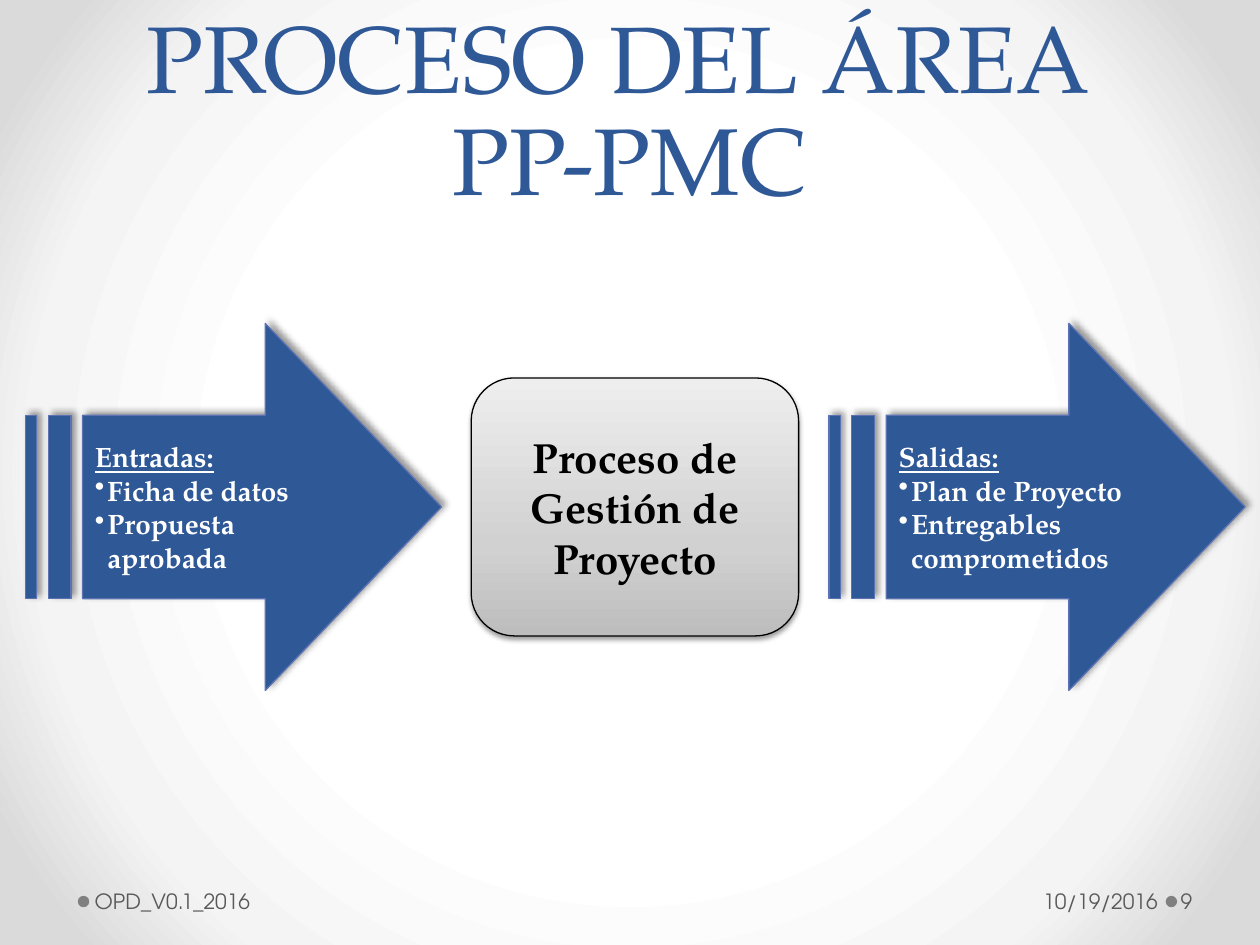
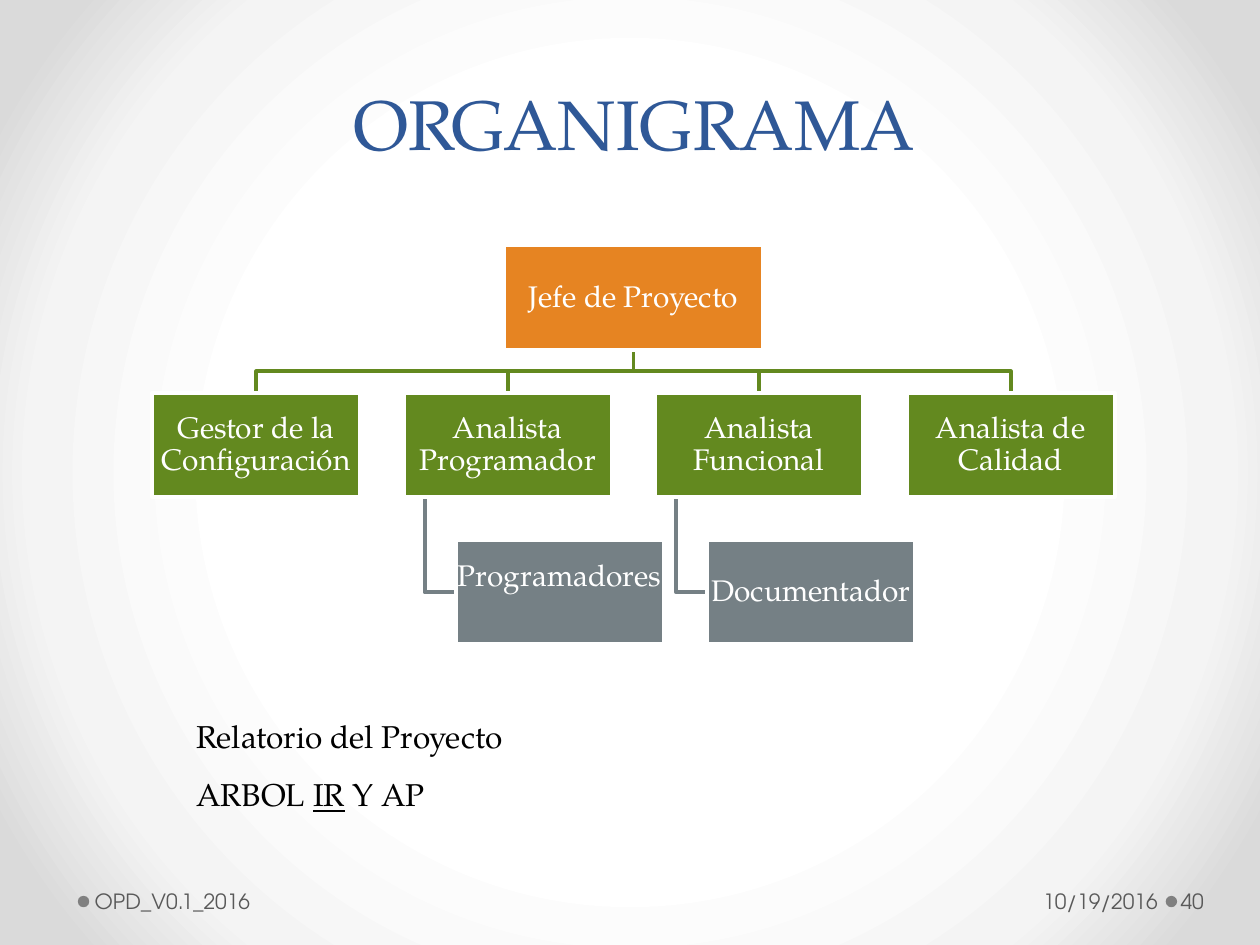
from lxml.etree import SubElement
from pptx import Presentation
from pptx.dml.color import RGBColor
from pptx.enum.shapes import MSO_SHAPE as Shape
from pptx.enum.text import MSO_ANCHOR as Anchor, PP_ALIGN as Align
from pptx.oxml.ns import qn
from pptx.util import Cm, Pt

BLUE, ORANGE, GREEN, SLATE = "2F5897", "E68422", "63891F", "758085"
WHITE, BLACK, ARROW_EDGE = "FFFFFF", "000000", "5C72B2"
FOOTER_TEXT, FOOTER_DOT = "595959", "808080"
SERIF, SANS = "TeX Gyre Pagella", "TeX Gyre Adventor"
DEFAULT_INSETS = (0.25, 0.13, 0.25, 0.13)
FOOTER_TOP, FOOTER_HEIGHT = 17.65, 1.02


def color(code):
    return RGBColor.from_string(code)


def add_node(parent, tag, **attributes):
    return SubElement(parent, qn(tag), {k: str(v) for k, v in attributes.items()})


def replace_with_gradient(owner, stops):
    """Swap the solid fill inside owner for a gradient and return it."""
    solid = next(owner.iter(qn("a:solidFill")))
    gradient = owner.makeelement(qn("a:gradFill"), {"rotWithShape": "1"})
    stop_list = add_node(gradient, "a:gsLst")
    for percent, code in stops:
        stop = add_node(stop_list, "a:gs", pos=percent * 1000)
        add_node(stop, "a:srgbClr", val=code)
    solid.getparent().replace(solid, gradient)
    return gradient


class Painter:
    """Holds the deck, its style and the slide being drawn."""

    def __init__(self):
        self.deck = Presentation()
        self.deck.slide_width, self.deck.slide_height = Cm(25.4), Cm(19.05)
        self.page = None

    def new_page(self, number):
        self.page = self.deck.slides.add_slide(self.deck.slide_layouts[6])
        self.page.background.fill.solid()
        self.page.background.fill.fore_color.rgb = color(WHITE)
        gradient = replace_with_gradient(
            self.page.element, [(50, "FFFFFF"), (76, "F4F4F4"), (92, "DADADA")])
        circle = add_node(gradient, "a:path", path="circle")
        add_node(circle, "a:fillToRect", l=50000, t=50000, r=50000, b=50000)
        self.footer(number)

    def footer(self, number):
        for left in (1.57, 23.5):
            self.shape(Shape.OVAL, left, 18.06, 0.23, 0.23, FOOTER_DOT)
        for left, width, words, align, inset in (
                (1.83, 10.06, "OPD_V0.1_2016", Align.LEFT, 0.08),
                (17.68, 5.79, "10/19/2016", Align.RIGHT, 0.25),
                (23.72, 1.55, str(number), Align.LEFT, 0.08)):
            self.text_box(left, FOOTER_TOP, width, FOOTER_HEIGHT, [words], 12,
                          FOOTER_TEXT, font=SANS, align=align, anchor=Anchor.MIDDLE,
                          insets=(inset, 0.13, 0.13, 0.13))

    def title(self, left, top, width, height, words, size):
        self.text_box(left, top, width, height, [words], size, BLUE,
                      align=Align.CENTER, anchor=Anchor.BOTTOM, spacing=Pt(58))

    def text_box(self, left, top, width, height, lines, size, code, **style):
        box = self.page.shapes.add_textbox(Cm(left), Cm(top), Cm(width), Cm(height))
        self.set_text(box, lines, size, code, **style)

    def shape(self, kind, left, top, width, height, fill, line=None, line_width=0.75):
        shape = self.page.shapes.add_shape(
            kind, Cm(left), Cm(top), Cm(width), Cm(height))
        shape.shadow.inherit = False
        shape.fill.solid()
        shape.fill.fore_color.rgb = color(fill)
        if line:
            shape.line.color.rgb = color(line)
            shape.line.width = Pt(line_width)
        else:
            shape.line.fill.background()
        return shape

    def shadow(self, shape, opacity, blur, distance, angle):
        effects = next(shape.element.iter(qn("a:effectLst")))
        outer = add_node(effects, "a:outerShdw", blurRad=Pt(blur), dist=Pt(distance),
                         dir=angle * 60000, algn="ctr", rotWithShape=0)
        black = add_node(outer, "a:srgbClr", val=BLACK)
        add_node(black, "a:alpha", val=opacity * 1000)

    def polyline(self, points, code):
        start, *others = [(Cm(x), Cm(y)) for x, y in points]
        builder = self.page.shapes.build_freeform(*start)
        builder.add_line_segments(others, close=False)
        line = builder.convert_to_shape()
        line.shadow.inherit = False
        line.fill.background()
        line.line.color.rgb = color(code)
        line.line.width = Pt(2.25)

    def set_text(self, box, lines, size, code, font=SERIF, bold=False,
                 align=Align.LEFT, anchor=Anchor.TOP, insets=DEFAULT_INSETS,
                 spacing=None, heading=False):
        """Fill box; with heading, line one is underlined and the rest bulleted.

        A line is a string or a list of (words, underlined) spans.
        """
        frame = box.text_frame
        frame.word_wrap = True
        frame.vertical_anchor = anchor
        (frame.margin_left, frame.margin_top,
         frame.margin_right, frame.margin_bottom) = map(Cm, insets)
        for index, line in enumerate(lines):
            para = frame.add_paragraph() if index else frame.paragraphs[0]
            para.alignment = align
            if spacing:
                para.line_spacing = spacing
            if heading and index:
                properties = para._p.get_or_add_pPr()
                properties.set("marL", str(Cm(0.25)))
                properties.set("indent", str(-Cm(0.25)))
                add_node(properties, "a:buChar", char="•")
            para.font.name, para.font.size, para.font.bold = font, Pt(size), bold
            para.font.color.rgb = color(code)
            if isinstance(line, str):
                para.text = line
                if heading and not index:
                    para.font.underline = True
                continue
            for words, underlined in line:
                span = para.add_run()
                span.text = words
                if underlined:
                    span.font.underline = True


def process_slide(painter):
    painter.new_page(9)
    painter.title(1.27, 0, 22.86, 4.45, "PROCESO DEL ÁREA \vPP-PMC", 54)
    for left, lines in (
            (0.51, ["Entradas:", "Ficha de datos", "Propuesta aprobada"]),
            (16.71, ["Salidas:", "Plan de Proyecto", "Entregables comprometidos"])):
        arrow = painter.shape(Shape.STRIPED_RIGHT_ARROW, left, 6.52, 8.39, 7.4,
                              BLUE, ARROW_EDGE)
        arrow.adjustments[1] = 0.48
        painter.shadow(arrow, 40, 4, 3, 315)
        painter.set_text(arrow, lines, 16, WHITE, bold=True, anchor=Anchor.MIDDLE,
                         heading=True)

    process = painter.shape(Shape.ROUNDED_RECTANGLE, 9.5, 7.62, 6.6, 5.2, WHITE, BLACK)
    gradient = replace_with_gradient(
        process.element, [(0, "BDBDBD"), (35, "D1D1D1"), (100, "EEEEEE")])
    add_node(gradient, "a:lin", ang=270 * 60000, scaled=0)
    painter.shadow(process, 38, 3.1, 1.6, 90)
    painter.set_text(process, ["Proceso de Gestión de Proyecto"], 24, BLACK, bold=True,
                     align=Align.CENTER, anchor=Anchor.MIDDLE)


def organization_slide(painter):
    painter.new_page(40)
    painter.title(0.08, 0.53, 25.4, 2.92, "ORGANIGRAMA", 40)

    left, column_step, top, row_step = 3.07, 5.07, 4.95, 2.97
    width, height, chief_width = 4.19, 2.1, 5.23
    center = left + (3 * column_step + width) / 2
    team_top, helper_top = top + row_step, top + 2 * row_step
    bus = (top + height + team_top) / 2
    team = [("Gestor de la Configuración", None),
            ("Analista Programador", "Programadores"),
            ("Analista Funcional", "Documentador"),
            ("Analista de Calidad", None)]
    # Raised label: extra inset below the text
    bottom_insets = {"Programadores": 0.65}

    boxes = [(center - chief_width / 2, top, chief_width, ORANGE, "Jefe de Proyecto")]
    for column, (role, helper) in enumerate(team):
        x = left + column * column_step
        middle = x + width / 2
        painter.polyline([(center, top + height), (center, bus),
                          (middle, bus), (middle, team_top)], GREEN)
        boxes.append((x, team_top, width, GREEN, role))
        if helper:
            stem, helper_left = x + 0.42, x + 1.05
            helper_middle = helper_top + height / 2
            painter.polyline([(stem, team_top + height), (stem, helper_middle),
                              (helper_left, helper_middle)], SLATE)
            boxes.append((helper_left, helper_top, width, SLATE, helper))

    for x, y, box_width, fill, role in boxes:
        box = painter.shape(Shape.RECTANGLE, x, y, box_width, height, fill, WHITE, 2.25)
        painter.set_text(box, [role], 17, WHITE, align=Align.CENTER,
                         anchor=Anchor.MIDDLE, spacing=0.9,
                         insets=(0.02, 0.02, 0.02, bottom_insets.get(role, 0.02)))

    painter.text_box(3.71, 14.33, 8.61, 1.02, ["Relatorio del Proyecto"], 18, BLACK)
    painter.text_box(3.71, 15.49, 6.4, 1.02,
                     [[("ARBOL ", False), ("IR", True), (" Y AP", False)]], 18, BLACK)


def main():
    painter = Painter()
    process_slide(painter)
    organization_slide(painter)
    painter.deck.save("out.pptx")


if __name__ == "__main__":
    main()
